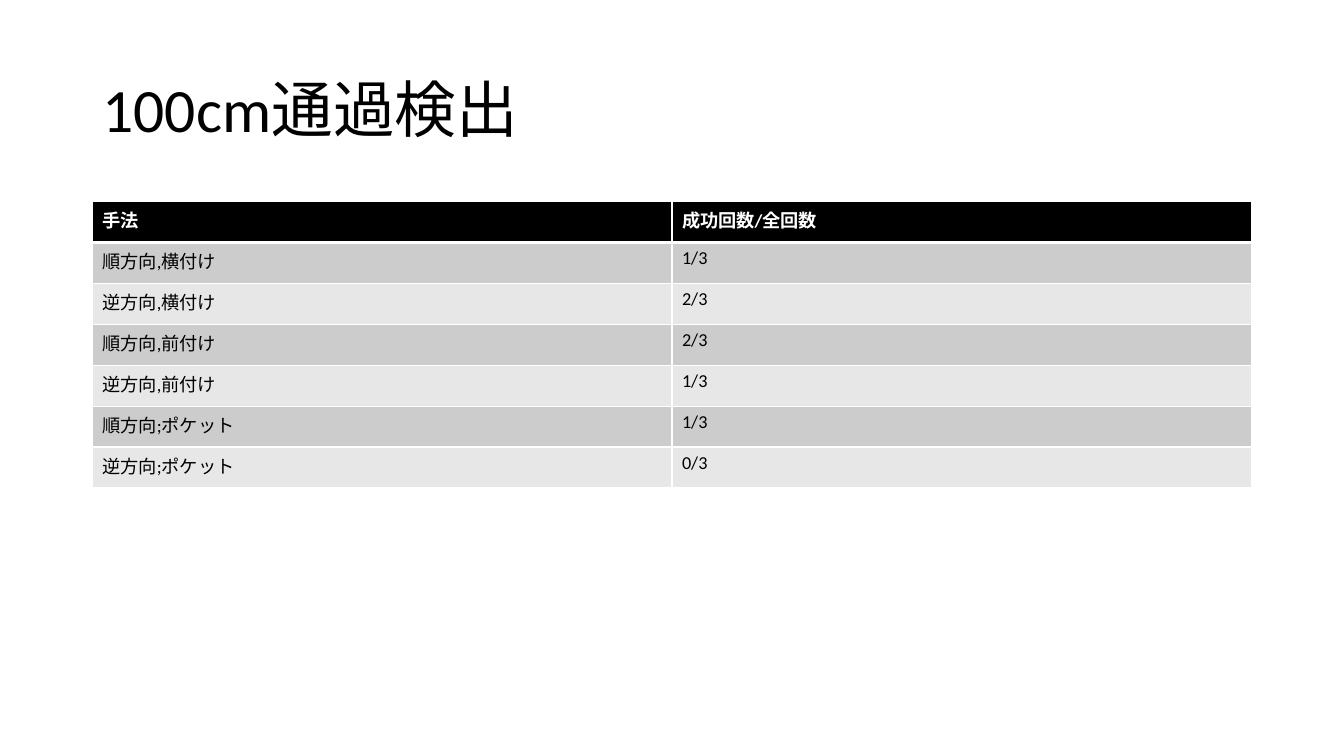
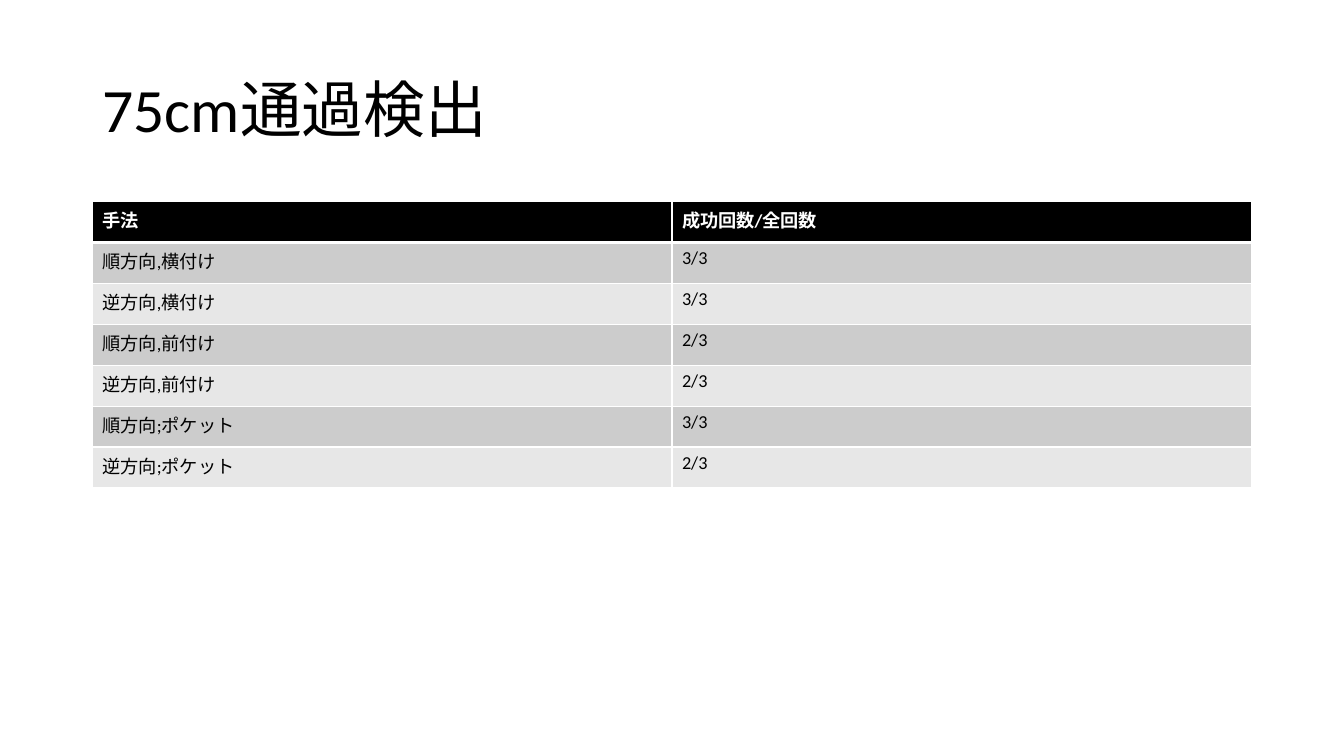
from lxml.etree import SubElement
from pptx import Presentation
from pptx.dml.color import RGBColor
from pptx.enum.lang import MSO_LANGUAGE_ID
from pptx.enum.text import MSO_ANCHOR, MSO_AUTO_SIZE, PP_ALIGN
from pptx.oxml.ns import qn
from pptx.util import Pt

PX = 9525
FONT = "Calibri"
BLACK = "000000"
WHITE = "FFFFFF"
BANDS = ("CCCCCC", "E7E7E7")
TITLE_BOX = (88, 38, 1104, 139)
TABLE_BOX = (88, 192, 1104, 273)
HEADERS = ("手法", "成功回数/全回数")
METHODS = (
    "順方向,横付け", "逆方向,横付け", "順方向,前付け",
    "逆方向,前付け", "順方向;ポケット", "逆方向;ポケット",
)
RESULTS = {
    "100cm通過検出": ("1/3", "2/3", "2/3", "1/3", "1/3", "0/3"),
    "75cm通過検出": ("3/3", "3/3", "2/3", "2/3", "3/3", "2/3"),
}


def color(value):
    return RGBColor.from_string(value)


def scaled(box):
    return [length * PX for length in box]


def write_text(frame, text, size=13, fill=BLACK, bold=False, spacing=None):
    paragraph = frame.paragraphs[0]
    paragraph.alignment = PP_ALIGN.LEFT
    paragraph.line_spacing = spacing
    run = paragraph.add_run()
    run.text = text
    run.font.name = FONT
    run.font.size = Pt(size)
    run.font.bold = bold
    run.font.color.rgb = color(fill)
    run.font.language_id = MSO_LANGUAGE_ID.JAPANESE


def set_borders(cell, top=1, bottom=1):
    properties = cell._tc.get_or_add_tcPr()
    widths = (("a:lnL", 1), ("a:lnR", 1), ("a:lnT", top), ("a:lnB", bottom))
    for position, (tag, width) in enumerate(widths):
        line = SubElement(properties, qn(tag), w=str(Pt(width)))
        solid = SubElement(line, qn("a:solidFill"))
        SubElement(solid, qn("a:srgbClr"), val=WHITE)
        properties.insert(position, line)


def add_title(slide, box, text):
    title = slide.shapes.title
    title.left, title.top, title.width, title.height = scaled(box)
    frame = title.text_frame
    frame.word_wrap = True
    frame.auto_size = MSO_AUTO_SIZE.NONE
    frame.vertical_anchor = MSO_ANCHOR.MIDDLE
    write_text(frame, text, size=44, spacing=0.9)


def add_result_table(slide, box, rows):
    table = slide.shapes.add_table(len(rows), len(rows[0]), *scaled(box)).table
    for row_index, values in enumerate(rows):
        header = row_index == 0
        background = BLACK if header else BANDS[(row_index - 1) % 2]
        for column_index, text in enumerate(values):
            cell = table.cell(row_index, column_index)
            cell.fill.solid()
            cell.fill.fore_color.rgb = color(background)
            set_borders(cell, top=3 if row_index == 1 else 1, bottom=3 if header else 1)
            write_text(cell.text_frame, text, fill=WHITE if header else BLACK, bold=header)


def add_result_slide(presentation, title, scores):
    slide = presentation.slides.add_slide(presentation.slide_layouts[5])
    add_title(slide, TITLE_BOX, title)
    add_result_table(slide, TABLE_BOX, [HEADERS, *zip(METHODS, scores)])


def main():
    presentation = Presentation()
    presentation.slide_width, presentation.slide_height = scaled((1280, 720))
    for title, scores in RESULTS.items():
        add_result_slide(presentation, title, scores)
    presentation.save("out.pptx")


if __name__ == "__main__":
    main()
